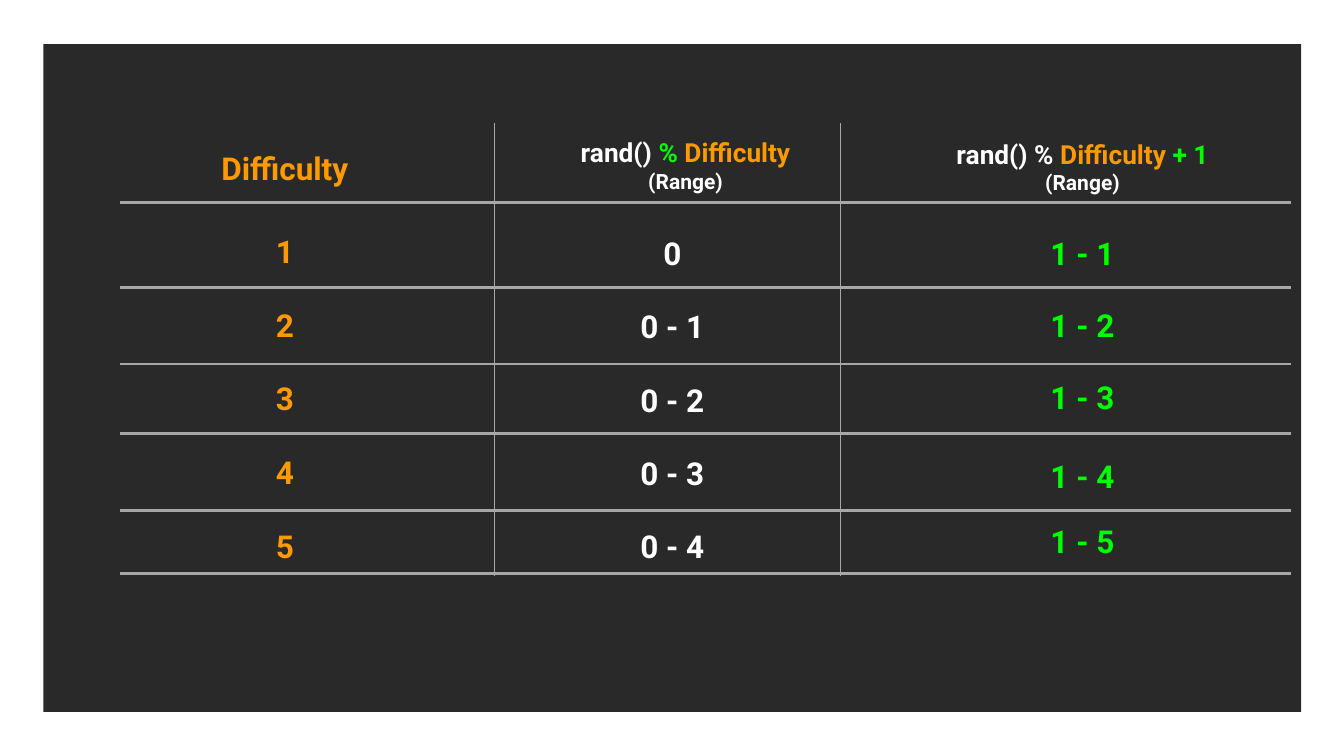
from dataclasses import dataclass

from lxml.etree import SubElement
from pptx import Presentation
from pptx.dml.color import RGBColor
from pptx.enum.shapes import MSO_CONNECTOR as CONN, MSO_SHAPE as SHAPE
from pptx.enum.text import PP_ALIGN as ALIGN
from pptx.oxml.ns import qn
from pptx.util import Inches, Pt


@dataclass(frozen=True)
class Theme:
    font: str = "Roboto"
    page: str = "FFFFFF"
    panel: str = "000000"
    panel_alpha: int = 84
    orange: str = "FF9900"
    green: str = "00FF00"
    white: str = "FFFFFF"
    rule: str = "A7A7A7"
    value: int = 36
    formula: int = 30
    note: int = 24
    thick: float = 3
    thin: float = 0.75


@dataclass(frozen=True)
class Box:
    x: float
    y: float
    w: float
    h: float


T = Theme()
PANEL = Box(0.69, 0.7, 19.96, 10.6)
GRID = Box(1.91, 1.96, 18.58, 7.19)
VALUE_H = 0.83
RANGE_WIDTHS = (2.31, 2.31, 2.31, 3.18, 3.61)


def add_text(slide, box, paragraphs, size=T.value):
    """Centred bold text; each paragraph is a list of (text, colour) runs."""
    sp = slide.shapes.add_textbox(*map(Inches, (box.x, box.y, box.w, box.h)))
    tf = sp.text_frame
    tf.word_wrap = True
    tf.margin_left = tf.margin_right = tf.margin_top = tf.margin_bottom = Inches(0.1)
    for i, runs in enumerate(paragraphs):
        p = tf.paragraphs[0] if i == 0 else tf.add_paragraph()
        p.alignment = ALIGN.CENTER
        for text, color in runs:
            r = p.add_run()
            r.text = text
            r.font.name = T.font
            r.font.size = Pt(size if i == 0 else T.note)
            r.font.bold = True
            r.font.color.rgb = RGBColor.from_string(color)


def add_rule(slide, x1, y1, x2, y2, width):
    line = slide.shapes.add_connector(CONN.STRAIGHT, *map(Inches, (x1, y1, x2, y2)))
    line.line.color.rgb = RGBColor.from_string(T.rule)
    line.line.width = Pt(width)
    SubElement(line._element.spPr, qn("a:effectLst"))


def add_panel(slide, box):
    sp = slide.shapes.add_shape(SHAPE.RECTANGLE, *map(Inches, (box.x, box.y, box.w, box.h)))
    sp.shadow.inherit = False
    sp.fill.solid()
    sp.fill.fore_color.rgb = RGBColor.from_string(T.panel)
    sp.line.fill.background()
    color = sp._element.spPr.find(qn("a:solidFill"))[0]
    SubElement(color, qn("a:alpha"), val=str(T.panel_alpha * 1000))


def add_grid(slide, box):
    for dy in (1.25, 2.6, 3.82, 4.92, 6.14, 7.14):
        add_rule(slide, box.x, box.y + dy, box.x + box.w, box.y + dy, T.thick)
    for dx in (5.94, 11.42):
        add_rule(slide, box.x + dx, box.y, box.x + dx, box.y + box.h, T.thin)


def add_header(slide, box, center, top, width, height, paragraphs, size):
    place = Box(box.x + center - width / 2, box.y + top, width, height)
    add_text(slide, place, paragraphs, size)


def add_values(slide, box, center, tops, widths, values, color):
    for top, width, value in zip(tops, widths, values):
        place = Box(box.x + center - width / 2, box.y + top, width, VALUE_H)
        add_text(slide, place, [[(value, color)]])


def add_columns(slide, box):
    levels = range(1, 6)
    note = [("(Range)", T.white)]

    # Difficulty levels
    add_header(slide, box, 2.61, 0.31, 4.06, VALUE_H,
               [[("Difficulty", T.orange)]], T.value)
    add_values(slide, box, 2.61, [1.62 + 1.17 * i for i in range(5)], [1.58] * 5,
               [str(n) for n in levels], T.orange)

    # Range starting at zero
    add_header(slide, box, 8.97, 0.11, 5.3, 1.22,
               [[("rand() ", T.white), ("% ", T.green), ("Difficulty", T.orange)], note],
               T.formula)
    add_values(slide, box, 8.76, [1.66 + 1.16 * i for i in range(5)], RANGE_WIDTHS,
               ["0" if n == 1 else f"0 - {n - 1}" for n in levels], T.white)

    # Range starting at one
    add_header(slide, box, 15.27, 0.13, 5.3, 1.22,
               [[("rand() % ", T.white), ("Difficulty ", T.orange), ("+ 1", T.green)], note],
               T.formula)
    add_values(slide, box, 15.27, (1.66, 2.8, 3.94, 5.19, 6.22), RANGE_WIDTHS,
               [f"1 - {n}" for n in levels], T.green)


def main():
    prs = Presentation()
    prs.slide_width, prs.slide_height = Inches(21.33), Inches(12)
    slide = prs.slides.add_slide(prs.slide_layouts[6])
    slide.background.fill.solid()
    slide.background.fill.fore_color.rgb = RGBColor.from_string(T.page)
    add_panel(slide, PANEL)
    add_grid(slide, GRID)
    add_columns(slide, GRID)
    prs.save("out.pptx")


if __name__ == "__main__":
    main()
